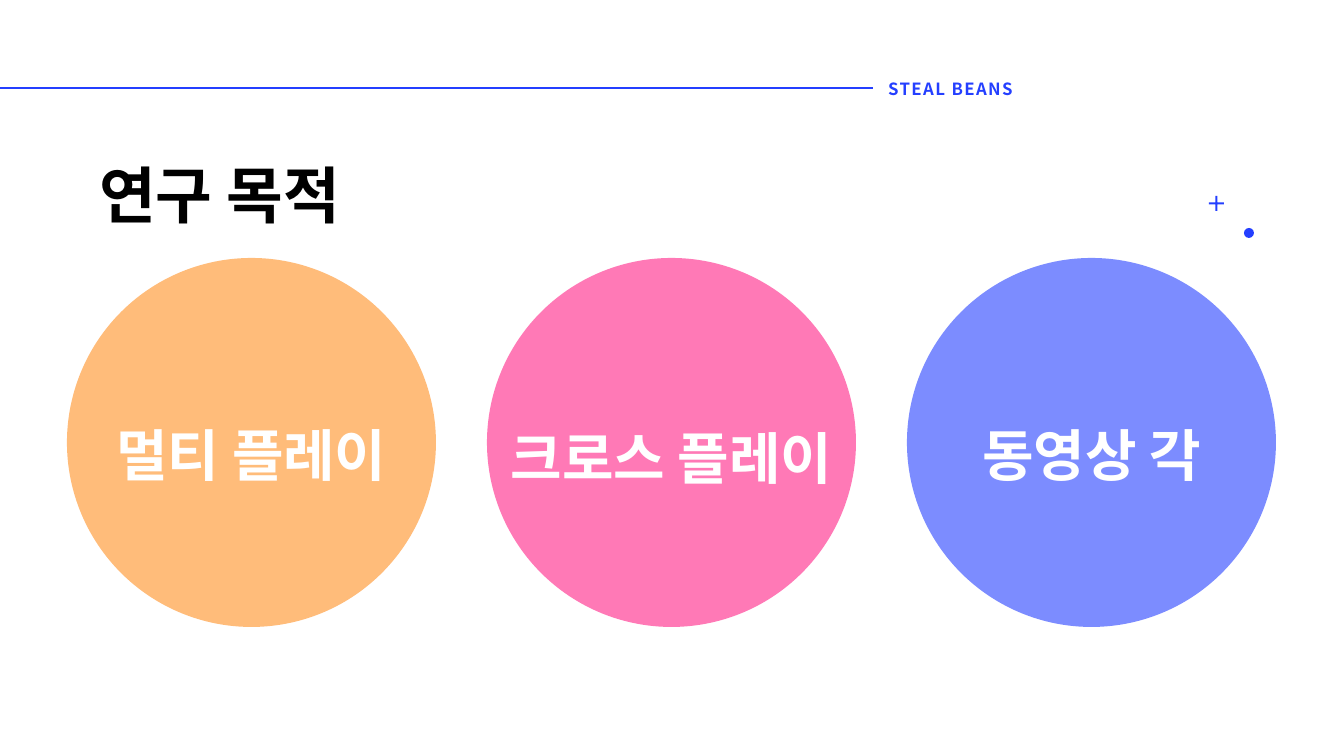
from dataclasses import dataclass

from lxml import etree
from pptx import Presentation
from pptx import util as u
from pptx.dml.color import RGBColor
from pptx.enum import shapes, text
from pptx.oxml.ns import qn

EMU_PER_PX = 914400 / 100.8


def px(length):
    return u.Emu(round(length * EMU_PER_PX))


@dataclass(frozen=True)
class Theme:
    font: str = "Noto Sans CJK KR"
    ink: str = "000000"
    paper: str = "FFFFFF"
    accent: str = "243FFF"
    orange: str = "FFBC7A"
    pink: str = "FF79B6"
    violet: str = "7C8CFF"
    title_size: int = 44
    goal_size: int = 40
    label_size: int = 12
    rule_width: int = 2


class SlideBuilder:
    def __init__(self, slide, theme):
        self.slide = slide
        self.theme = theme

    def set_words(self, frame, words, size, color, align, anchor, line_spacing=1.0,
                  space_before=0, tracking=0):
        """Fill a text frame with one bold run; tracking is in points."""
        frame.word_wrap = True
        frame.auto_size = text.MSO_AUTO_SIZE.NONE
        frame.vertical_anchor = anchor
        paragraph = frame.paragraphs[0]
        paragraph.alignment = align
        paragraph.line_spacing = line_spacing
        paragraph.space_before = u.Pt(space_before)
        run = paragraph.add_run()
        run.text = words
        run.font.size = u.Pt(size)
        run.font.bold = True
        run.font.color.rgb = RGBColor.from_string(color)
        run.font.name = self.theme.font
        properties = run._r.get_or_add_rPr()
        etree.SubElement(properties, qn("a:ea"), typeface=self.theme.font)
        if tracking:
            properties.set("spc", str(tracking * 100))

    def title(self, words, left, top, width, height):
        title = self.slide.shapes.title
        title.left, title.top = px(left), px(top)
        title.width, title.height = px(width), px(height)
        self.set_words(title.text_frame, words, self.theme.title_size, self.theme.ink,
                       text.PP_ALIGN.LEFT, text.MSO_ANCHOR.BOTTOM, line_spacing=0.9)

    def label(self, words, left, top, width, height, size, color,
              anchor=text.MSO_ANCHOR.TOP, **spacing):
        box = self.slide.shapes.add_textbox(px(left), px(top), px(width), px(height))
        self.set_words(box.text_frame, words, size, color,
                       text.PP_ALIGN.CENTER, anchor, **spacing)

    def shape(self, preset, left, top, size, color):
        shape = self.slide.shapes.add_shape(preset, px(left), px(top), px(size), px(size))
        shape.shadow.inherit = False
        shape.fill.solid()
        shape.fill.fore_color.rgb = RGBColor.from_string(color)
        shape.line.fill.background()
        return shape

    def rule(self, left, right, y):
        rule = self.slide.shapes.add_connector(
            shapes.MSO_CONNECTOR.STRAIGHT, px(left), px(y), px(right), px(y))
        rule.line.color.rgb = RGBColor.from_string(self.theme.accent)
        rule.line.width = u.Pt(self.theme.rule_width)
        etree.SubElement(rule._element.spPr, qn("a:effectLst"))


def main():
    theme = Theme()
    deck = Presentation()
    deck.slide_width, deck.slide_height = px(1344), px(756)
    title_only = deck.slide_layouts[5]
    builder = SlideBuilder(deck.slides.add_slide(title_only), theme)

    builder.rule(0, 873, 88)
    builder.label("STEAL BEANS", 724, 69, 453, 40, theme.label_size, theme.accent,
                  anchor=text.MSO_ANCHOR.MIDDLE, tracking=1)
    builder.title("연구 목적", 89, 150, 341, 87)

    builder.shape(shapes.MSO_SHAPE.OVAL, 1244, 228, 10, theme.accent)
    plus = builder.shape(shapes.MSO_SHAPE.CROSS, 1209, 196, 15, theme.accent)
    plus.adjustments[0] = 0.43

    diameter, pitch, first_left, circle_top = 369, 420, 67, 258
    label_width, label_height = 471, 66
    goals = [
        ("멀티 플레이", theme.orange, 409),
        ("크로스 플레이", theme.pink, 412),
        ("동영상 각", theme.violet, 409),
    ]
    for column, (goal, color, label_top) in enumerate(goals):
        circle_left = first_left + column * pitch
        builder.shape(shapes.MSO_SHAPE.OVAL, circle_left, circle_top, diameter, color)
        label_left = circle_left + (diameter - label_width) // 2
        builder.label(goal, label_left, label_top, label_width, label_height,
                      theme.goal_size, theme.paper, line_spacing=1.1, space_before=10)

    deck.save("out.pptx")


if __name__ == "__main__":
    main()
